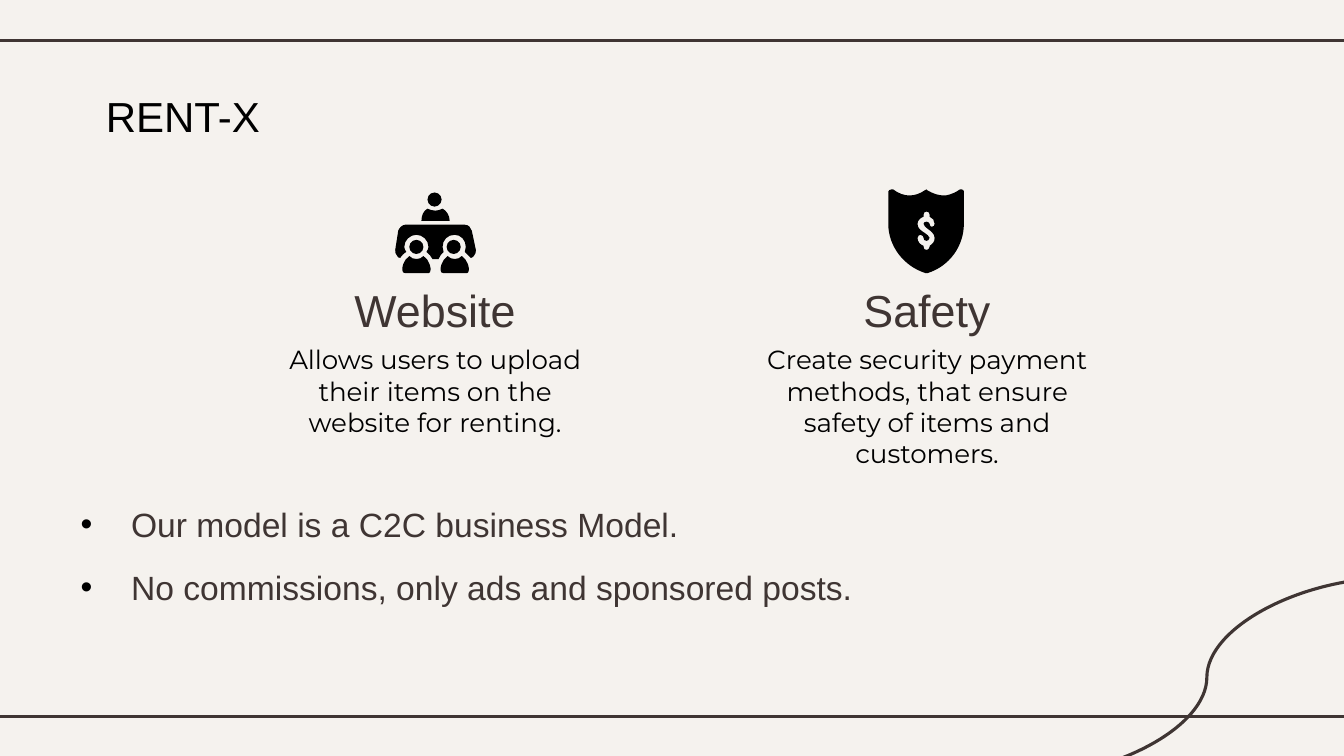
from dataclasses import dataclass

from lxml import etree
from pptx import Presentation
from pptx.dml.color import RGBColor
from pptx.enum.shapes import MSO_CONNECTOR, MSO_SHAPE
from pptx.enum.text import MSO_ANCHOR, MSO_AUTO_SIZE, PP_ALIGN
from pptx.oxml.ns import qn
from pptx.shapes.autoshape import Shape
from pptx.shapes.shapetree import GroupShapes, SlideShapes
from pptx.slide import Slide
from pptx.text.text import TextFrame, _Paragraph
from pptx.util import Emu, Pt

STRAIGHT, CURVE = MSO_CONNECTOR.STRAIGHT, MSO_CONNECTOR.CURVE
OVAL = MSO_SHAPE.OVAL
TOP = MSO_ANCHOR.TOP
LEFT, CENTER = PP_ALIGN.LEFT, PP_ALIGN.CENTER
NO_AUTOFIT = MSO_AUTO_SIZE.NONE

EMU_PER_PX = 9144
SLIDE_WIDTH, SLIDE_HEIGHT = 1333, 750
INSET = 13
COLORS = {"paper": "F5F2EE", "brown": "3F3533", "black": "000000"}


@dataclass(frozen=True)
class Rule:
    kind: MSO_CONNECTOR
    start: tuple[int, int]
    end: tuple[int, int]


@dataclass(frozen=True)
class Style:
    font: str
    size: float
    color: str


@dataclass(frozen=True)
class Feature:
    left: int
    heading: str
    description: str


TITLE_STYLE = Style("Arial", 30, "black")
HEADING_STYLE = Style("Arial", 32, "brown")
DESCRIPTION_STYLE = Style("Montserrat", 18.67, "black")
BULLET_STYLE = Style("Arial", 24, "brown")

RULES = [
    Rule(STRAIGHT, (-11, 40), (1344, 40)),
    Rule(STRAIGHT, (-11, 711), (1344, 711)),
    Rule(CURVE, (1383, 573), (1011, 771)),
]
FEATURES = [
    Feature(738, "Safety", "Create security payment methods, that ensure safety of items and customers."),
    Feature(250, "Website", "Allows users to upload their items on the website for renting."),
]
BUSINESS_POINTS = [
    "Our model is a C2C business Model.",
    "No commissions, only ads and sponsored posts.",
]

HEAD_SIZE = 14
HEADS = [(424, 191), (406, 238), (443, 238)]
SPEAKER_TORSO = "M 424 207 C 420 209 418 214 418 219 L 446 219 C 446 214 443 209 439 207 C 437 208 434 209 432 209 C 429 209 426 208 424 207"
LISTENER_TORSO = (
    "M 406 254 C 403 256 401 259 400 262 C 400 263 399 264 399 266 L 399 268 C 399 270 400 271 402 271 "
    "L 425 271 C 426 271 427 270 427 268 L 427 266 C 427 264 426 263 426 262 C 425 259 423 256 420 254 "
    "C 418 256 416 257 413 257 C 410 257 408 256 406 254"
)
LISTENER_OFFSETS = [38, 0]
MEETING_TABLE = (
    "M 402 223 C 399 223 396 226 395 229 L 392 248 C 392 250 392 252 394 254 C 394 255 396 256 397 256 "
    "C 398 254 401 251 403 250 C 402 248 401 247 401 245 C 401 238 407 233 413 233 "
    "C 419 233 425 238 425 245 C 425 247 424 248 423 250 C 426 252 427 254 429 257 L 435 257 "
    "C 436 254 438 252 440 250 C 440 248 439 247 439 245 C 439 238 444 233 451 233 "
    "C 457 233 462 238 462 245 C 462 247 462 248 461 250 C 463 252 465 254 467 256 "
    "C 468 256 469 255 470 254 C 472 252 472 250 472 248 L 468 229 C 467 226 465 223 461 223"
)
SHIELD = (
    "M 954 188 C 953 188 952 188 952 188 C 945 193 939 194 936 194 C 931 194 925 192 920 189 "
    "C 920 188 919 188 919 188 C 918 188 918 188 917 189 C 913 192 907 194 902 194 "
    "C 897 194 891 192 886 188 C 885 188 885 188 884 188 C 883 188 881 189 881 190 L 881 222 "
    "C 881 244 896 264 918 271 C 918 271 918 271 919 271 C 919 271 919 271 920 271 "
    "C 942 264 956 244 956 222 L 956 190 C 956 189 955 188 954 188"
)
DOLLAR = (
    "M 919 210 C 921 210 922 211 922 213 L 922 215 C 925 216 927 219 927 222 C 927 224 926 225 924 225 "
    "C 923 225 922 224 922 222 C 922 221 920 220 919 220 C 917 220 916 221 916 222 "
    "C 916 224 918 225 920 227 C 923 229 927 232 927 236 C 927 240 925 242 922 244 L 922 245 "
    "C 922 247 920 248 919 248 C 917 248 916 247 916 245 L 916 244 C 913 243 910 240 910 236 "
    "C 910 234 912 233 913 233 C 915 233 916 235 916 236 C 916 238 917 239 919 239 "
    "C 920 239 922 238 922 236 C 922 234 919 233 917 231 C 914 229 910 227 910 222 "
    "C 910 219 913 216 916 215 L 916 213 C 916 211 917 210 919 210"
)


def px(length: int) -> Emu:
    return Emu(length * EMU_PER_PX)


def rgb(name: str) -> RGBColor:
    return RGBColor.from_string(COLORS[name])


def paint_black(icon_part: Shape) -> None:
    icon_part.shadow.inherit = False
    icon_part.fill.solid()
    icon_part.fill.fore_color.rgb = rgb("black")
    icon_part.line.fill.background()


def corners(outline: str, shift: int) -> list[tuple[Emu, Emu]]:
    numbers = [int(token) for token in outline.split() if token.isdigit()]
    return [(px(x + shift), px(y)) for x, y in zip(numbers[::2], numbers[1::2])]


def bend_curves(icon_part: Shape, commands: list[str]) -> None:
    segments = iter(list(icon_part._element.iter(qn("a:lnTo"))))
    for command in commands:
        first = next(segments)
        if command == "C":
            curve = etree.Element(qn("a:cubicBezTo"))
            first.addprevious(curve)
            for segment in (first, next(segments), next(segments)):
                curve.append(segment[0])
                segment.getparent().remove(segment)


def draw_outline(shapes: SlideShapes | GroupShapes, outlines: list[str], shift: int = 0) -> None:
    contours = [corners(outline, shift) for outline in outlines]
    builder = shapes.build_freeform(*contours[0][0], scale=1.0)
    for index, contour in enumerate(contours):
        if index:
            builder.move_to(*contour[0])
        builder.add_line_segments(contour[1:], close=True)
    icon_part = builder.convert_to_shape()
    bend_curves(icon_part, [token for outline in outlines for token in outline.split() if token in "LC"])
    paint_black(icon_part)


def draw_meeting_icon(slide: Slide) -> None:
    meeting = slide.shapes.add_group_shape().shapes
    for left, top in HEADS:
        paint_black(meeting.add_shape(OVAL, *map(px, (left, top, HEAD_SIZE, HEAD_SIZE))))
    for outline in (MEETING_TABLE, SPEAKER_TORSO):
        draw_outline(meeting, [outline])
    for offset in LISTENER_OFFSETS:
        draw_outline(meeting, [LISTENER_TORSO], offset)


def draw_rule(slide: Slide, rule: Rule) -> None:
    connector = slide.shapes.add_connector(rule.kind, *map(px, rule.start + rule.end))
    connector.line.color.rgb = rgb("brown")
    connector.line.width = Pt(2.25)
    etree.SubElement(connector._element.spPr, qn("a:effectLst"))


def place(holder: Shape, left: int, top: int, width: int, height: int) -> None:
    holder.left, holder.top, holder.width, holder.height = map(px, (left, top, width, height))


def prepare(frame: TextFrame) -> None:
    frame.auto_size = NO_AUTOFIT
    frame.word_wrap = True
    frame.vertical_anchor = TOP
    frame.margin_left = frame.margin_right = frame.margin_top = frame.margin_bottom = px(INSET)


def write(paragraph: _Paragraph, text: str, style: Style, alignment: PP_ALIGN) -> None:
    paragraph.alignment = alignment
    run = paragraph.add_run()
    run.text = text
    run.font.name = style.font
    run.font.size = Pt(style.size)
    run.font.color.rgb = rgb(style.color)


def add_bullet(paragraph: _Paragraph) -> None:
    properties = paragraph._p.get_or_add_pPr()
    properties.set("marL", str(px(50)))
    properties.set("indent", str(px(-50)))
    bullet_color = etree.SubElement(properties, qn("a:buClr"))
    etree.SubElement(bullet_color, qn("a:srgbClr"), val=COLORS["black"])
    etree.SubElement(properties, qn("a:buFont"), typeface="Arial")
    etree.SubElement(properties, qn("a:buChar"), char="•")


def draw_feature(slide: Slide, feature: Feature) -> None:
    for top, height, text, style in (
        (268, 73, feature.heading, HEADING_STYLE),
        (328, 132, feature.description, DESCRIPTION_STYLE),
    ):
        box = slide.shapes.add_textbox(*map(px, (feature.left, top, 363, height)))
        prepare(box.text_frame)
        write(box.text_frame.paragraphs[0], text, style, CENTER)


def main() -> None:
    deck = Presentation()
    deck.slide_width, deck.slide_height = px(SLIDE_WIDTH), px(SLIDE_HEIGHT)
    slide = deck.slides.add_slide(deck.slide_layouts[1])
    slide.background.fill.solid()
    slide.background.fill.fore_color.rgb = rgb("paper")

    for rule in RULES:
        draw_rule(slide, rule)

    title = slide.shapes.title
    place(title, 92, 77, 923, 84)
    prepare(title.text_frame)
    write(title.text_frame.paragraphs[0], "RENT-X", TITLE_STYLE, LEFT)

    for feature in FEATURES:
        draw_feature(slide, feature)
    draw_outline(slide.shapes, [DOLLAR, SHIELD])
    draw_meeting_icon(slide)

    business_model = slide.placeholders[1]
    place(business_model, 67, 487, 1090, 220)
    frame = business_model.text_frame
    prepare(frame)
    for index, point in enumerate(BUSINESS_POINTS):
        paragraph = frame.add_paragraph() if index else frame.paragraphs[0]
        paragraph.space_before, paragraph.space_after = Pt(0), Pt(16)
        add_bullet(paragraph)
        write(paragraph, point, BULLET_STYLE, LEFT)

    deck.save("out.pptx")


if __name__ == "__main__":
    main()
